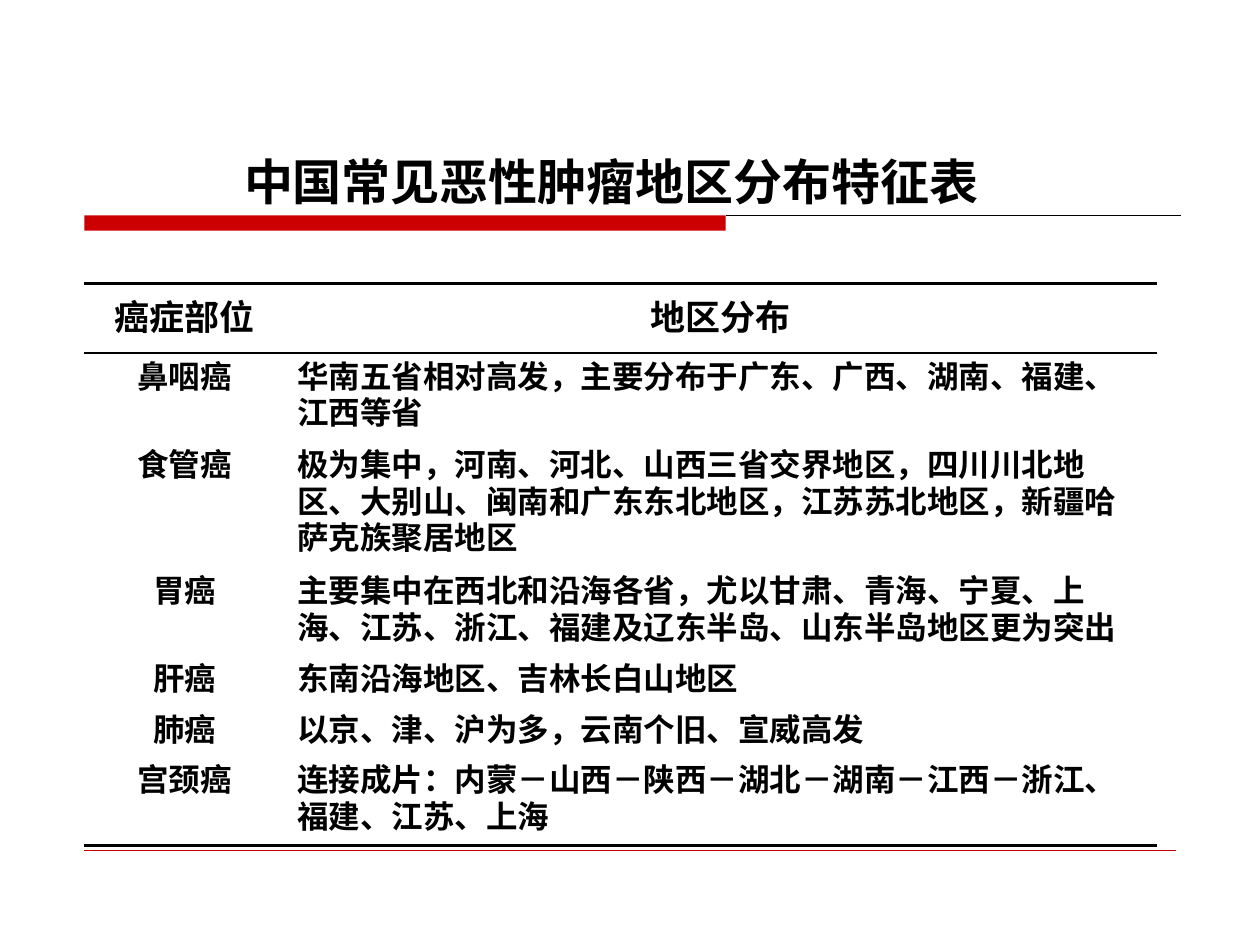
from lxml.etree import SubElement
from pptx import Presentation
from pptx.dml.color import RGBColor
from pptx.enum.shapes import MSO_CONNECTOR, MSO_SHAPE
from pptx.enum.text import MSO_ANCHOR, MSO_AUTO_SIZE, PP_ALIGN
from pptx.oxml import parse_xml
from pptx.oxml.ns import nsdecls, qn
from pptx.util import Inches, Pt

BLACK, RED = "000000", "CC0000"
LEFT, BAR = 0.67, 5.09
COLS = [1.59, 6.92]
HEIGHTS = [0.55, 0.68, 0.97, 0.68, 0.39, 0.39, 0.71]
ROWS = [
    ("癌症部位", "地区分布"),
    ("鼻咽癌", "华南五省相对高发，主要分布于广东、广西、湖南、福建、江西等省"),
    ("食管癌", "极为集中，河南、河北、山西三省交界地区，四川川北地区、大别山、"
              "闽南和广东东北地区，江苏苏北地区，新疆哈萨克族聚居地区"),
    ("胃癌", "主要集中在西北和沿海各省，尤以甘肃、青海、宁夏、上海、江苏、浙江、"
            "福建及辽东半岛、山东半岛地区更为突出"),
    ("肝癌", "东南沿海地区、吉林长白山地区"),
    ("肺癌", "以京、津、沪为多，云南个旧、宣威高发"),
    ("宫颈癌", "连接成片：内蒙－山西－陕西－湖北－湖南－江西－浙江、福建、江苏、上海"),
]
# Weight of the line above each row, and below the last
LINES = [2.25, 1] + [0] * (len(ROWS) - 2) + [2.25]


def color(code):
    return RGBColor.from_string(code)


def write(frame, text, face, size, align):
    para = frame.paragraphs[0]
    para.alignment = align
    para.line_spacing = 1.0
    # Keep punctuation inside the margin
    para._p.get_or_add_pPr().set("hangingPunct", "0")
    run = para.add_run()
    run.text = text
    for key, value in {"name": face, "size": Pt(size), "bold": True}.items():
        setattr(run.font, key, value)
    run.font.color.rgb = color(BLACK)
    SubElement(run.font._element, qn("a:ea"), typeface=face)


def add_title(slide, text):
    title = slide.shapes.title
    box = {"left": 0.91, "top": 1.15, "width": 7.88, "height": 0.57}
    for key, value in box.items():
        setattr(title, key, Inches(value))
    frame = title.text_frame
    form = {"word_wrap": True, "vertical_anchor": MSO_ANCHOR.TOP,
            "auto_size": MSO_AUTO_SIZE.SHAPE_TO_FIT_TEXT}
    for key, value in form.items():
        setattr(frame, key, value)
    write(frame, text, "Arial", 28, PP_ALIGN.CENTER)


def add_bar(slide, x, y, width, height, code):
    bar = slide.shapes.add_shape(MSO_SHAPE.RECTANGLE, Inches(x), Inches(y),
                                 Inches(width), Inches(height))
    bar.shadow.inherit = False
    bar.fill.solid()
    bar.fill.fore_color.rgb = color(code)
    bar.line.fill.background()


def add_rule(slide, x, y, end, code, weight):
    rule = slide.shapes.add_connector(MSO_CONNECTOR.STRAIGHT, Inches(x),
                                      Inches(y), Inches(end), Inches(y))
    rule.line.color.rgb = color(code)
    rule.line.width = Pt(weight)
    SubElement(rule._element.spPr, qn("a:effectLst"))


def set_edges(cell, above, below):
    """Give a cell its four borders; a weight of 0 means no line."""
    props = cell._tc.get_or_add_tcPr()
    edges = {"lnL": 0, "lnR": 0, "lnT": above, "lnB": below}
    ink = f'<a:solidFill><a:srgbClr val="{BLACK}"/></a:solidFill>'
    for spot, (tag, weight) in enumerate(edges.items()):
        props.insert(spot, parse_xml(
            f'<a:{tag} {nsdecls("a")} w="{Pt(weight)}">'
            f'{ink if weight else "<a:noFill/>"}</a:{tag}>'))


def add_grid(slide):
    shape = slide.shapes.add_table(len(ROWS), len(COLS), Inches(LEFT), Inches(2.25),
                                   Inches(sum(COLS)), Inches(sum(HEIGHTS)))
    table = shape.table
    table.first_row = table.horz_banding = False
    # Plain style without grid lines
    style = table._tbl.tblPr.find(qn("a:tableStyleId"))
    style.text = "{2D5ABB26-0587-4C30-8999-92F81FD0307C}"
    for col, width in zip(table.columns, COLS):
        col.width = Inches(width)
    for i, texts in enumerate(ROWS):
        table.rows[i].height = Inches(HEIGHTS[i])
        size, anchor = (18, MSO_ANCHOR.TOP) if i else (20, MSO_ANCHOR.MIDDLE)
        for j, text in enumerate(texts):
            cell = table.cell(i, j)
            cell.vertical_anchor = anchor
            cell.fill.background()
            align = PP_ALIGN.LEFT if i and j else PP_ALIGN.CENTER
            write(cell.text_frame, text, "DejaVu Sans", size, align)
            set_edges(cell, LINES[i], LINES[i + 1])


def main():
    deck = Presentation()
    deck.slide_width, deck.slide_height = Inches(10), Inches(7.5)
    slide = deck.slides.add_slide(deck.slide_layouts[5])
    # Title underline and footer rule
    add_bar(slide, LEFT, 1.71, BAR, 0.12, RED)
    add_rule(slide, LEFT + BAR, 1.71, 9.37, BLACK, 0.75)
    add_rule(slide, LEFT, 6.75, 9.33, RED, 0.25)
    # Content
    add_grid(slide)
    add_title(slide, "中国常见恶性肿瘤地区分布特征表")
    deck.save("out.pptx")


if __name__ == "__main__":
    main()
